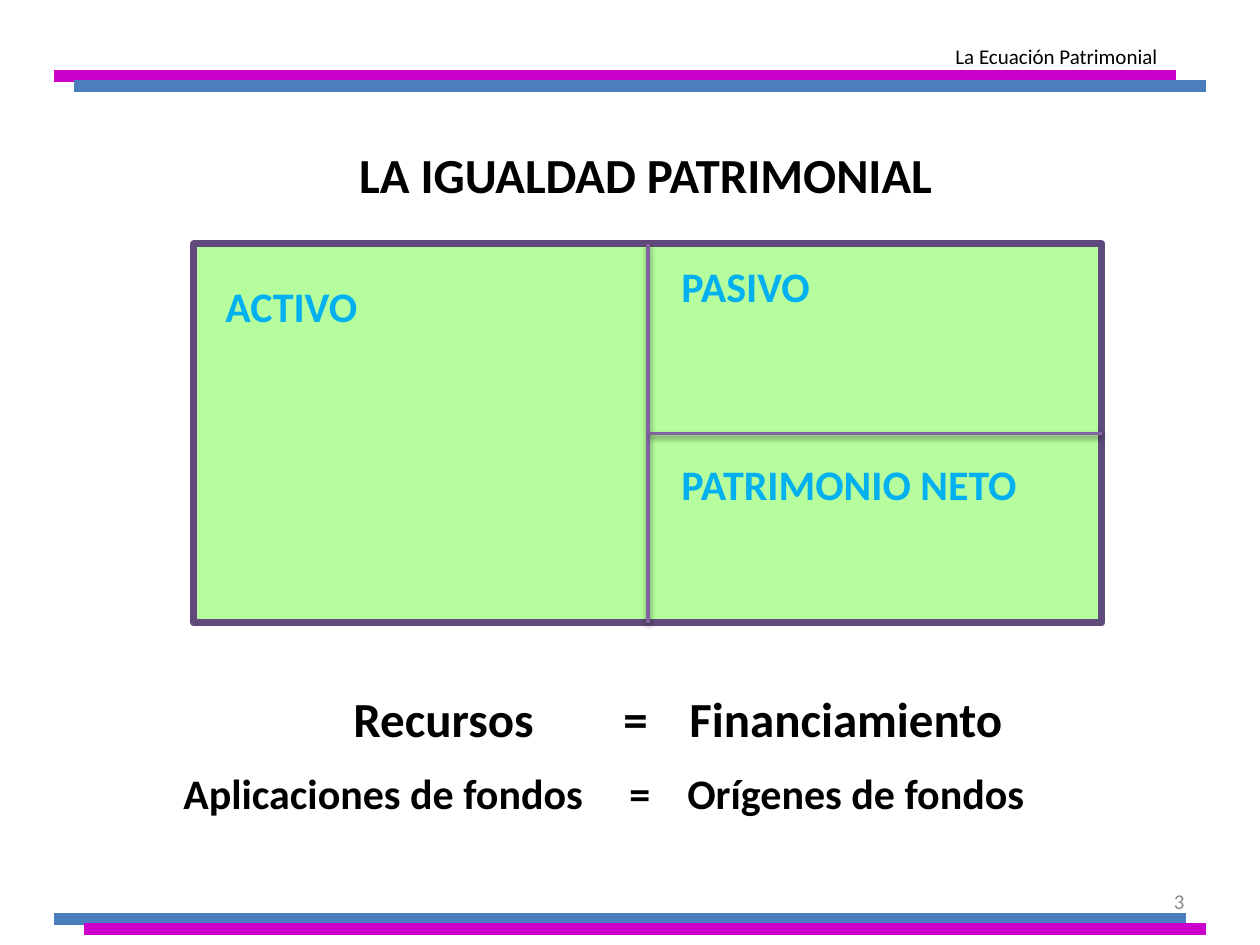
import dataclasses

import lxml.etree
import pptx
import pptx.dml.color
import pptx.enum.shapes
import pptx.enum.text
import pptx.oxml.ns
import pptx.util

EMU_PER_PX = 914400 / 126
ALIGN = pptx.enum.text.PP_ALIGN
ANCHOR = pptx.enum.text.MSO_ANCHOR


@dataclasses.dataclass(frozen=True)
class Theme:
    font: str = "Calibri"
    ink: str = "000000"
    muted: str = "8C8C8C"
    label: str = "00B0F0"
    magenta: str = "CC00CC"
    blue: str = "4B7EBC"
    panel: str = "B6FD9D"
    border: str = "604A7B"
    divider: str = "8064A2"
    small: int = 12
    medium: int = 24
    large: int = 28
    band_width: float = 6.75
    border_width: int = 4
    divider_width: int = 2


THEME = Theme()


def px(length):
    return pptx.util.Emu(round(length * EMU_PER_PX))


def rgb(color):
    return pptx.dml.color.RGBColor.from_string(color)


def add_child(parent, name, **attributes):
    child = lxml.etree.SubElement(parent, pptx.oxml.ns.qn(name))
    for key, value in attributes.items():
        child.set(key, str(value))
    return child


def add_text(slide, box, text, size, color=THEME.ink, bold=False,
             align=ALIGN.LEFT, anchor=ANCHOR.TOP):
    shape = slide.shapes.add_textbox(*map(px, box))
    text_frame = shape.text_frame
    text_frame.word_wrap = True
    text_frame.vertical_anchor = anchor
    text_frame.text = text
    paragraph = text_frame.paragraphs[0]
    paragraph.alignment = align
    for run in paragraph.runs:
        run.font.name = THEME.font
        run.font.size = pptx.util.Pt(size)
        run.font.bold = bold
        run.font.color.rgb = rgb(color)
    return paragraph


def add_line(slide, start, end, color, width, shadow=False):
    line = slide.shapes.add_connector(
        pptx.enum.shapes.MSO_CONNECTOR.STRAIGHT, *map(px, (*start, *end)))
    line.line.color.rgb = rgb(color)
    line.line.width = pptx.util.Pt(width)
    effects = add_child(line._element.spPr, "a:effectLst")
    if shadow:
        outer = add_child(effects, "a:outerShdw", blurRad=pptx.util.Pt(3.1),
                          dist=pptx.util.Pt(1.6), dir=90 * 60000, rotWithShape=0)
        black = add_child(outer, "a:srgbClr", val="000000")
        add_child(black, "a:alpha", val=38000)


def add_bands(slide, box, upper, lower):
    """Two stacked bands, each given as colour, left inset and right inset."""
    left, top, width, height = box
    for y, (color, inset_left, inset_right) in ((top, upper), (top + height, lower)):
        add_line(slide, (left + inset_left, y), (left + width - inset_right, y),
                 color, THEME.band_width)


def add_header(slide, box):
    left, top, width, height = box
    add_text(slide, (left + 486, top, 630, 38), "La Ecuación Patrimonial",
             THEME.small, align=ALIGN.RIGHT)
    add_bands(slide, (left, top + height - 10, width, 10),
              (THEME.magenta, 0, 30), (THEME.blue, 20, 0))


def add_footer(slide, box):
    left, top, width, height = box
    add_text(slide, (left + 849, top, 294, 50), "3", THEME.small, THEME.muted,
             align=ALIGN.RIGHT, anchor=ANCHOR.MIDDLE)
    add_bands(slide, (left, top + height - 10, width, 10),
              (THEME.blue, 0, 20), (THEME.magenta, 30, 0))


def add_balance(slide, box):
    left, top, width, height = box
    panel = slide.shapes.add_shape(
        pptx.enum.shapes.MSO_SHAPE.RECTANGLE, *map(px, box))
    panel.shadow.inherit = False
    panel.fill.solid()
    panel.fill.fore_color.rgb = rgb(THEME.panel)
    panel.line.color.rgb = rgb(THEME.border)
    panel.line.width = pptx.util.Pt(THEME.border_width)

    # Dividers between the three parts
    middle_x, middle_y = left + width / 2, top + height / 2
    for start, end in (
        ((middle_x, top), (middle_x, top + height)),
        ((left + width, middle_y), (middle_x + 2, middle_y)),
    ):
        add_line(slide, start, end, THEME.divider, THEME.divider_width, shadow=True)

    # Labels
    for text, x, y, label_width in (
        ("ACTIVO", 19, 30, 258),
        ("PASIVO", 475, 10, 258),
        ("PATRIMONIO NETO", 475, 208, 377),
    ):
        add_text(slide, (left + x, top + y, label_width, 63), text,
                 THEME.medium, THEME.label, bold=True)


def add_equation(slide, box, terms, size, tab_stops):
    text = "".join("\t" + term for term in terms)
    paragraph = add_text(slide, box, text, size, bold=True)
    tabs = add_child(paragraph._p.get_or_add_pPr(), "a:tabLst")
    for position in tab_stops:
        add_child(tabs, "a:tab", pos=px(position), algn="l")


def main():
    presentation = pptx.Presentation()
    presentation.slide_width, presentation.slide_height = px(1260), px(945)
    slide = presentation.slides.add_slide(presentation.slide_layouts[6])

    add_footer(slide, (54, 876, 1152, 53))
    add_header(slide, (54, 37, 1152, 49))
    add_text(slide, (105, 116, 1081, 116), "LA IGUALDAD PATRIMONIAL", THEME.large,
             bold=True, align=ALIGN.CENTER, anchor=ANCHOR.MIDDLE)
    add_balance(slide, (194, 244, 908, 379))

    # Equations below the panel
    add_equation(slide, (233, 682, 915, 72), ("Recursos", "=", "Financiamiento"),
                 THEME.large, (108, 378, 444))
    add_equation(slide, (105, 761, 1071, 63),
                 ("Aplicaciones de fondos", "=", "Orígenes de fondos"),
                 THEME.medium, (66, 512, 570))

    presentation.save("out.pptx")


if __name__ == "__main__":
    main()
